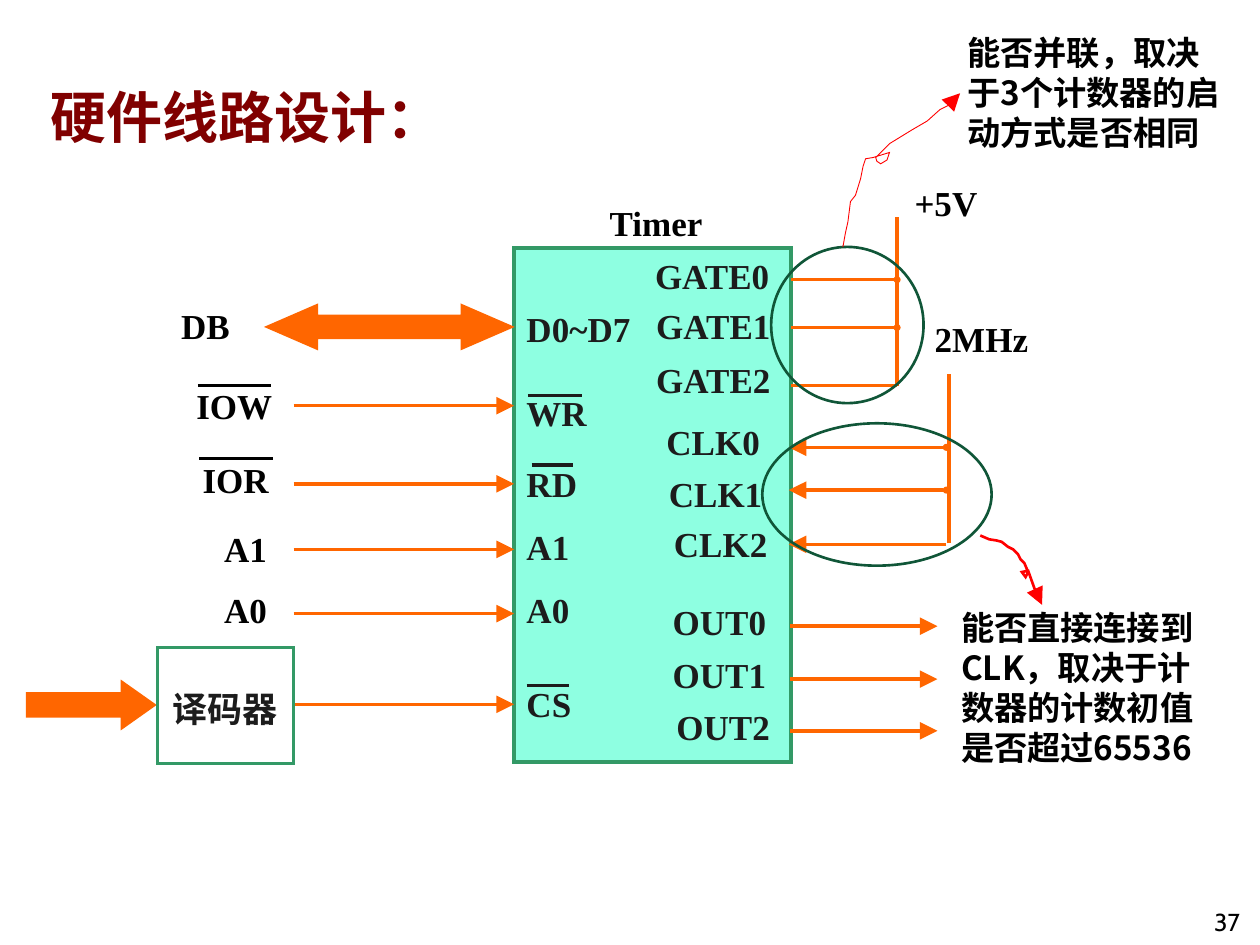
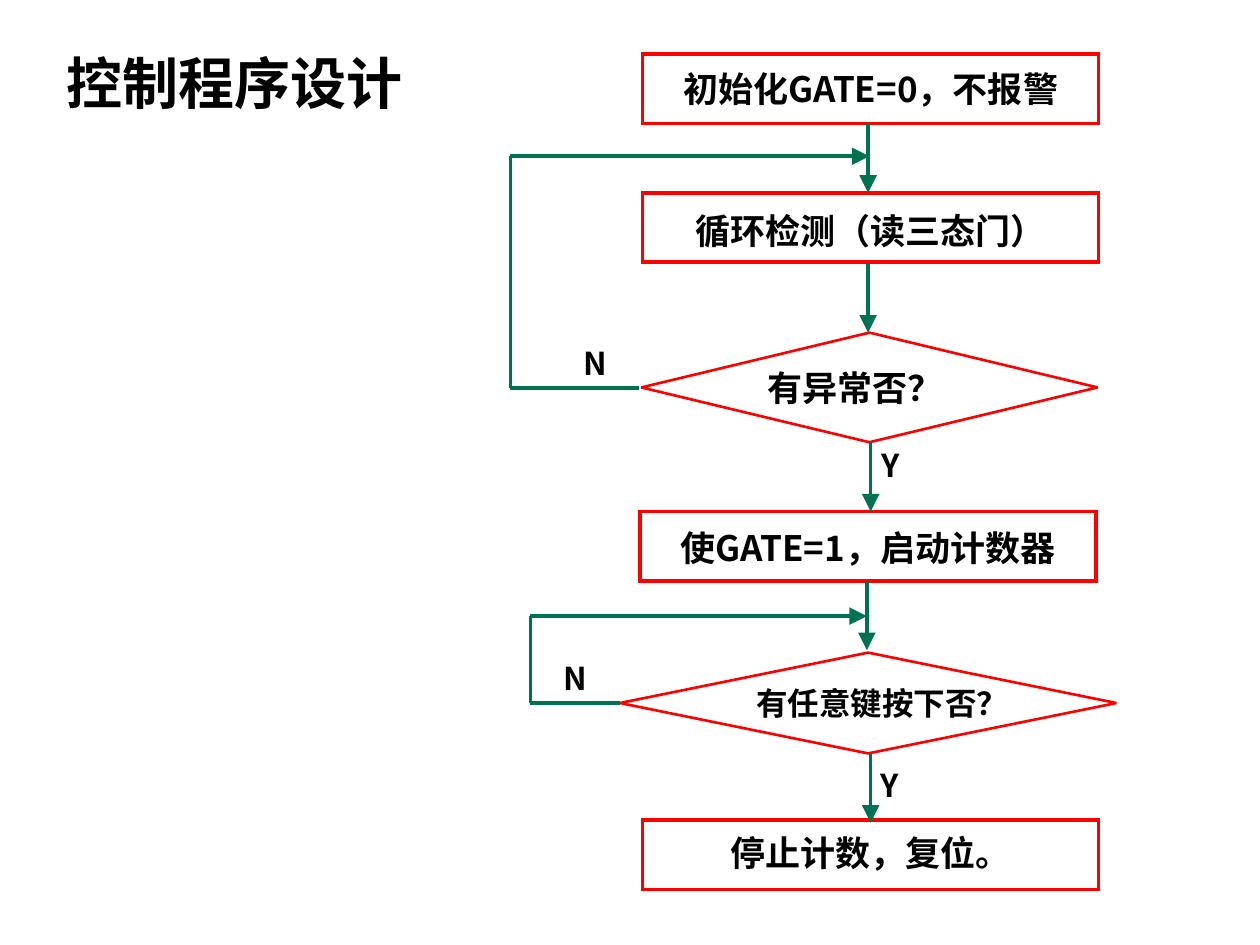
from pptx import Presentation
from pptx.dml.color import RGBColor
from pptx.enum.shapes import MSO_CONNECTOR, MSO_SHAPE
from pptx.enum.text import MSO_ANCHOR, MSO_AUTO_SIZE, PP_ALIGN
from pptx.oxml.ns import qn
from pptx.util import Inches, Pt
from lxml.etree import SubElement

BLACK = RGBColor(0, 0, 0)
INK = RGBColor(0x1C, 0x1C, 0x1C)
MAROON = RGBColor(0x80, 0, 0)
ORANGE = RGBColor(0xFF, 0x66, 0)
MINT = RGBColor(0x8E, 0xFF, 0xE1)
GREEN = RGBColor(0x33, 0x99, 0x66)
PINE = RGBColor(0x10, 0x56, 0x38)
TEAL = RGBColor(0, 0x72, 0x54)
RED = RGBColor(0xFF, 0, 0)

HAN = "Noto Sans CJK SC"
ROMAN = "Times New Roman"

# Curved pointers, in hundredths of an inch
GATE_PATH = [
    (669, 196), (671, 185), (673, 176), (675, 160), (679, 155), (683, 142),
    (685, 132), (687, 126), (693, 125), (706, 121), (704, 127), (699, 130),
    (696, 128), (695, 125), (706, 114), (724, 103), (736, 96), (746, 87),
    (754, 83), (762, 74)]
CLOCK_PATH = [
    (778, 425), (785, 428), (791, 429), (795, 430), (800, 434), (804, 436),
    (808, 440), (810, 444), (813, 447), (816, 454), (814, 458), (811, 454),
    (816, 453), (821, 467), (823, 471), (827, 478), (827, 480)]


def style(frame, text, size, color, font=HAN, bold=True,
          align=PP_ALIGN.LEFT, spacing=None):
    """Fill a text frame and format its only paragraph."""
    frame.text = text
    frame.word_wrap = True
    frame.auto_size = MSO_AUTO_SIZE.NONE
    para = frame.paragraphs[0]
    para.alignment = align
    if spacing:
        para.line_spacing = spacing
    for run in para.runs:
        run.font.name = font
        run.font.size = Pt(size)
        run.font.bold = bold
        run.font.color.rgb = color
        SubElement(run.font._element, qn("a:ea"), typeface=font)


def place(shape, left, top, width, height):
    shape.left, shape.top = Inches(left), Inches(top)
    shape.width, shape.height = Inches(width), Inches(height)


def add_page(deck, title, color, box):
    slide = deck.slides.add_slide(deck.slide_layouts[5])
    head = slide.shapes.title
    place(head, *box)
    style(head.text_frame, title, 32, color)
    head.text_frame.vertical_anchor = MSO_ANCHOR.BOTTOM
    return slide


def add_text(slide, text, left, top, width, height=0.44, size=20,
             color=BLACK, **look):
    box = slide.shapes.add_textbox(
        Inches(left), Inches(top), Inches(width), Inches(height))
    style(box.text_frame, text, size, color, **look)
    return box


def add_label(slide, text, left, top, color=BLACK, width=1.25):
    add_text(slide, text, left, top, width, color=color, font=ROMAN)


def paint(shape, line, weight, fill=None):
    shape.shadow.inherit = False
    shape.line.color.rgb = line
    shape.line.width = Pt(weight)
    SubElement(shape.line._get_or_add_ln(), qn("a:miter"), lim="800000")
    if fill is None:
        shape.fill.background()
    else:
        shape.fill.solid()
        shape.fill.fore_color.rgb = fill


def add_form(slide, kind, box, line, weight=2, fill=None, adjust=()):
    shape = slide.shapes.add_shape(kind, *[Inches(n) for n in box])
    paint(shape, line, weight, fill)
    for index, value in enumerate(adjust):
        shape.adjustments[index] = value
    return shape


def add_ends(shape, head=None, tail=None):
    """Large arrowheads, small dots."""
    line = shape.line._get_or_add_ln()
    for tag, kind in (("a:headEnd", head), ("a:tailEnd", tail)):
        if kind:
            size = "lg" if kind == "triangle" else "sm"
            SubElement(line, qn(tag), type=kind, w=size, len=size)


def add_line(slide, start, end, color, head=None, tail=None):
    line = slide.shapes.add_connector(
        MSO_CONNECTOR.STRAIGHT, *[Inches(n) for n in (*start, *end)])
    line.line.color.rgb = color
    line.line.width = Pt(2)
    add_ends(line, head, tail)
    SubElement(line._element.spPr, qn("a:effectLst"))


def add_curl(slide, points, weight):
    pen = slide.shapes.build_freeform(*points[0], scale=Inches(0.01))
    pen.add_line_segments(points[1:], close=False)
    curl = pen.convert_to_shape()
    paint(curl, RED, weight)
    add_ends(curl, tail="triangle")


def add_step(slide, text, left, top, drop):
    """Flow chart box, with its text lowered by drop."""
    add_form(slide, MSO_SHAPE.RECTANGLE, (left, top, 3.62, 0.55), RED)
    add_text(slide, text, left, top + drop, 3.62, align=PP_ALIGN.CENTER)


def add_test(slide, text, box, size):
    shape = add_form(slide, MSO_SHAPE.FLOWCHART_DECISION, box, RED, 1.5)
    style(shape.text_frame, text, size, BLACK)
    shape.text_frame.vertical_anchor = MSO_ANCHOR.MIDDLE
    shape.text_frame.margin_right = Inches(-0.2)


def add_loop(slide, start, left, top, end):
    """Path from a test back up to the main flow."""
    x, y = start
    add_line(slide, start, (left, y), TEAL)
    add_line(slide, (left, y), (left, top), TEAL)
    add_line(slide, (left, top), (end, top), TEAL, tail="triangle")


def draw_wiring(deck):
    slide = add_page(deck, "硬件线路设计：", MAROON, (0.3, 0.33, 4.37, 0.91))
    page = add_text(slide, "37", 9.3, 6.98, 0.64, 0.5, 14, font="Cabin",
                    bold=False, align=PP_ALIGN.RIGHT)
    page.text_frame.vertical_anchor = MSO_ANCHOR.BOTTOM

    # Chip and its pins
    add_form(slide, MSO_SHAPE.RECTANGLE, (4.08, 1.97, 2.2, 4.08), GREEN,
             fill=MINT)
    add_label(slide, "Timer", 4.74, 1.55)
    for pin, top in (("D0~D7", 2.39), ("WR", 3.06), ("RD", 3.62),
                     ("A1", 4.12), ("A0", 4.62), ("CS", 5.37)):
        add_label(slide, pin, 4.08, top, INK)
    for pin, left, top in (
            ("GATE0", 5.1, 1.97), ("GATE1", 5.11, 2.37),
            ("GATE2", 5.11, 2.8), ("CLK0", 5.19, 3.29),
            ("CLK1", 5.21, 3.7), ("CLK2", 5.25, 4.1),
            ("OUT0", 5.24, 4.72), ("OUT1", 5.24, 5.14),
            ("OUT2", 5.27, 5.55)):
        add_label(slide, pin, left, top, INK)

    # Bus signals
    for name, left, top in (("DB", 1.34, 2.37), ("IOW", 1.46, 3),
                            ("IOR", 1.51, 3.59), ("A1", 1.68, 4.14),
                            ("A0", 1.68, 4.62)):
        add_label(slide, name, left, top, width=0.83)
    add_form(slide, MSO_SHAPE.LEFT_RIGHT_ARROW, (2.13, 2.43, 1.92, 0.33),
             ORANGE, fill=ORANGE, adjust=(0.5, 1.152))
    for y in (3.22, 3.84, 4.36, 4.87, 5.59):
        add_line(slide, (2.33, y), (4.08, y), ORANGE, tail="triangle")

    # Bars over active-low names
    for left, right, y, color in (
            (4.18, 4.52, 5.44, INK), (4.22, 4.55, 3.69, INK),
            (4.19, 4.62, 3.14, INK), (1.57, 2.15, 3.06, BLACK),
            (1.58, 2.17, 3.64, BLACK)):
        add_line(slide, (left, y), (right, y), color)

    # Decoder
    add_form(slide, MSO_SHAPE.RIGHT_ARROW, (0.22, 5.42, 1, 0.35), ORANGE,
             fill=ORANGE, adjust=(0.5, 0.707))
    add_form(slide, MSO_SHAPE.RECTANGLE, (1.25, 5.14, 1.08, 0.92), GREEN)
    add_text(slide, "译码器", 1.2, 5.29, 1.17, 0.56, color=INK,
             align=PP_ALIGN.CENTER, spacing=1.35)

    # Gates, clocks and outputs
    for y, dot in ((2.22, "oval"), (2.6, "oval"), (3.06, None)):
        add_line(slide, (6.28, y), (7.12, y), ORANGE, tail=dot)
    add_line(slide, (7.12, 3.06), (7.12, 1.72), ORANGE)
    add_label(slide, "+5V", 7.16, 1.39)
    for y, dot in ((3.55, "oval"), (3.89, "oval"), (4.32, None)):
        add_line(slide, (7.51, y), (6.26, y), ORANGE, dot, "triangle")
    add_line(slide, (7.53, 4.31), (7.53, 2.97), ORANGE)
    add_label(slide, "2MHz", 7.32, 2.47)
    for y in (4.97, 5.39, 5.8):
        add_line(slide, (6.27, y), (7.44, y), ORANGE, tail="triangle")

    # Remarks
    add_form(slide, MSO_SHAPE.OVAL, (6.12, 1.96, 1.21, 1.24), PINE, 1.5)
    add_curl(slide, GATE_PATH, 0.5)
    add_form(slide, MSO_SHAPE.OVAL, (6.05, 3.36, 1.82, 1.13), PINE, 1.5)
    add_curl(slide, CLOCK_PATH, 1.5)
    for text, left, top, height in (
            ("能否并联，取决于3个计数器的启动方式是否相同", 7.58, 0.21, 1.07),
            ("能否直接连接到CLK，取决于计数器的计数初值是否超过65536",
             7.53, 4.77, 1.39)):
        add_text(slide, text, left, top, 2.23, height, 19)


def draw_flow(deck):
    slide = add_page(deck, "控制程序设计", BLACK, (0.43, 0.21, 5.43, 0.76))

    # Steps and tests
    add_step(slide, "初始化GATE=0，不报警", 5.1, 0.43, 0.06)
    add_step(slide, "循环检测（读三态门）", 5.1, 1.53, 0.08)
    add_step(slide, "使GATE=1，启动计数器", 5.08, 4.06, 0.07)
    add_step(slide, "停止计数，复位。", 5.1, 6.51, 0.04)
    add_test(slide, "有异常否？", (5.09, 2.64, 3.62, 0.87), 20)
    add_test(slide, "有任意键按下否？", (4.92, 5.18, 3.94, 0.8), 18)

    # Main flow
    for x, y in ((6.89, 0.98), (6.89, 2.09), (6.91, 3.51), (6.88, 4.61),
                 (6.91, 5.98)):
        add_line(slide, (x, y), (x, y + 0.55), TEAL, tail="triangle")

    # Loops and answers
    add_loop(slide, (5.07, 3.08), 4.05, 1.24, 6.9)
    add_loop(slide, (4.92, 5.58), 4.21, 4.89, 6.88)
    for mark, left, top in (("Y", 6.9, 3.49), ("N", 4.53, 2.68),
                            ("Y", 6.89, 6.03), ("N", 4.37, 5.18)):
        add_text(slide, mark, left, top, 0.55, 0.4, 18)


def main():
    deck = Presentation()
    deck.slide_width, deck.slide_height = Inches(10), Inches(7.5)
    draw_wiring(deck)
    draw_flow(deck)
    deck.save("out.pptx")


if __name__ == "__main__":
    main()
